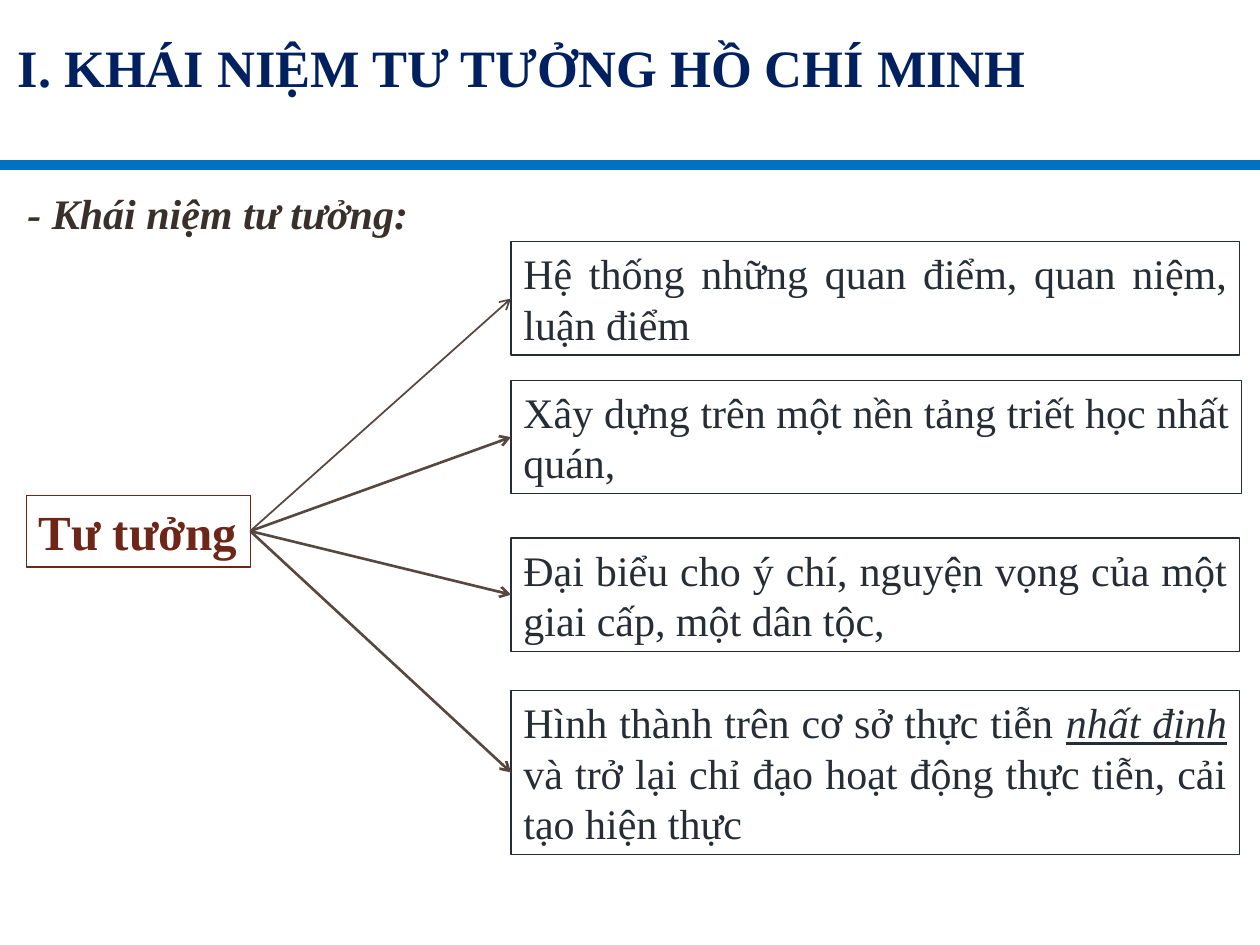
import pptx
import pptx.util
import pptx.dml.color
import pptx.enum.shapes
import pptx.enum.text
import pptx.oxml
import pptx.oxml.ns

Pt = pptx.util.Pt
ALIGN = pptx.enum.text.PP_ALIGN
FONT_NAME = "Times New Roman"
RIGHT_SITE, LEFT_SITE = 3, 1  # connection sites of a rectangle

NAVY, BLUE, BROWN = "002060", "0070C0", "39302B"
RED_BROWN, SLATE, ARROW_BROWN = "6E2619", "262D35", "564840"

BOX_LEFT = 292
# Top, width, height, arrow width and text runs (text, emphasised)
IDEAS = [
    (138.2, 416.2, 64.8, 1,
     [("Hệ thống những quan điểm, quan niệm, luận điểm", False)]),
    (217.4, 417.6, 64.8, 1.5,
     [("Xây dựng trên một nền tảng triết học nhất quán,", False)]),
    (307.4, 416.2, 64.8, 1.5,
     [("Đại biểu cho ý chí, nguyện vọng của một giai cấp, một dân tộc,", False)]),
    (394.6, 416.2, 93.6, 1.5,
     [("Hình thành trên cơ sở thực tiễn ", False),
      ("nhất định ", True),
      ("và trở lại chỉ đạo hoạt động thực tiễn, cải tạo hiện thực", False)]),
]


def color(hex_string):
    return pptx.dml.color.RGBColor.from_string(hex_string)


def write_text(shape, runs, size, hex_string, bold=False, italic=None,
               alignment=ALIGN.LEFT):
    """Fill a shape with one formatted paragraph."""
    frame = shape.text_frame
    frame.word_wrap = True
    frame.auto_size = pptx.enum.text.MSO_AUTO_SIZE.SHAPE_TO_FIT_TEXT
    frame.vertical_anchor = pptx.enum.text.MSO_ANCHOR.TOP
    paragraph = frame.paragraphs[0]
    paragraph.alignment = alignment
    for text, emphasised in runs:
        run = paragraph.add_run()
        run.text = text
        if emphasised:
            run.font.italic = True
            run.font.underline = True
    font = paragraph.font
    font.name = FONT_NAME
    font.size = Pt(size)
    font.bold = bold
    font.italic = italic
    font.color.rgb = color(hex_string)


def add_title(slide, text):
    title = slide.shapes.title
    title.left, title.top, title.width, title.height = (
        Pt(2.9), Pt(16.6), Pt(711.4), Pt(43.2))
    write_text(title, [(text, False)], 30, NAVY, bold=True, alignment=ALIGN.JUSTIFY)


def add_box(slide, left, top, width, height, hex_string):
    """Add an unfilled rectangle with a thin outline."""
    box = slide.shapes.add_shape(
        pptx.enum.shapes.MSO_SHAPE.RECTANGLE, Pt(left), Pt(top), Pt(width), Pt(height))
    box.shadow.inherit = False
    box.fill.background()
    box.line.color.rgb = color(hex_string)
    box.line.width = Pt(0.75)
    return box


def add_line(slide, start, end, hex_string, width):
    line = slide.shapes.add_connector(
        pptx.enum.shapes.MSO_CONNECTOR.STRAIGHT, *(Pt(value) for value in start + end))
    line.line.color.rgb = color(hex_string)
    line.line.width = Pt(width)
    properties = line._element.spPr
    properties.append(pptx.oxml.parse_xml(
        f"<a:effectLst {pptx.oxml.ns.nsdecls('a')}/>"))
    return line


def add_arrow(slide, source, target, width):
    """Join the right side of one box to the left side of another."""
    arrow = add_line(slide, (0, 0), (0, 0), ARROW_BROWN, width)
    arrow.begin_connect(source, RIGHT_SITE)
    arrow.end_connect(target, LEFT_SITE)
    arrow.line._get_or_add_ln().append(pptx.oxml.parse_xml(
        f"<a:tailEnd {pptx.oxml.ns.nsdecls('a')} type='arrow'/>"))


def main():
    presentation = pptx.Presentation()
    presentation.slide_width, presentation.slide_height = Pt(720), Pt(540)
    slide = presentation.slides.add_slide(presentation.slide_layouts[5])

    # Heading, rule and subheading
    add_line(slide, (0, 94.3), (720, 94.3), BLUE, 6)
    add_title(slide, "I. KHÁI NIỆM TƯ TƯỞNG HỒ CHÍ MINH")
    subheading = slide.shapes.add_textbox(Pt(8.6), Pt(103.7), Pt(344.2), Pt(36))
    write_text(subheading, [("- Khái niệm tư tưởng:", False)], 24, BROWN,
               bold=True, italic=True)

    # Central concept; the narrow right inset keeps its label on one line
    concept = add_box(slide, 15, 283, 128, 41, RED_BROWN)
    concept.text_frame.margin_right = Pt(2)
    write_text(concept, [("Tư tưởng", False)], 28, RED_BROWN, bold=True)

    # Ideas that define it, each with its arrow
    for top, width, height, arrow_width, runs in IDEAS:
        box = add_box(slide, BOX_LEFT, top, width, height, SLATE)
        write_text(box, runs, 24, SLATE, alignment=ALIGN.JUSTIFY)
        add_arrow(slide, concept, box, arrow_width)

    presentation.save("out.pptx")


if __name__ == "__main__":
    main()
